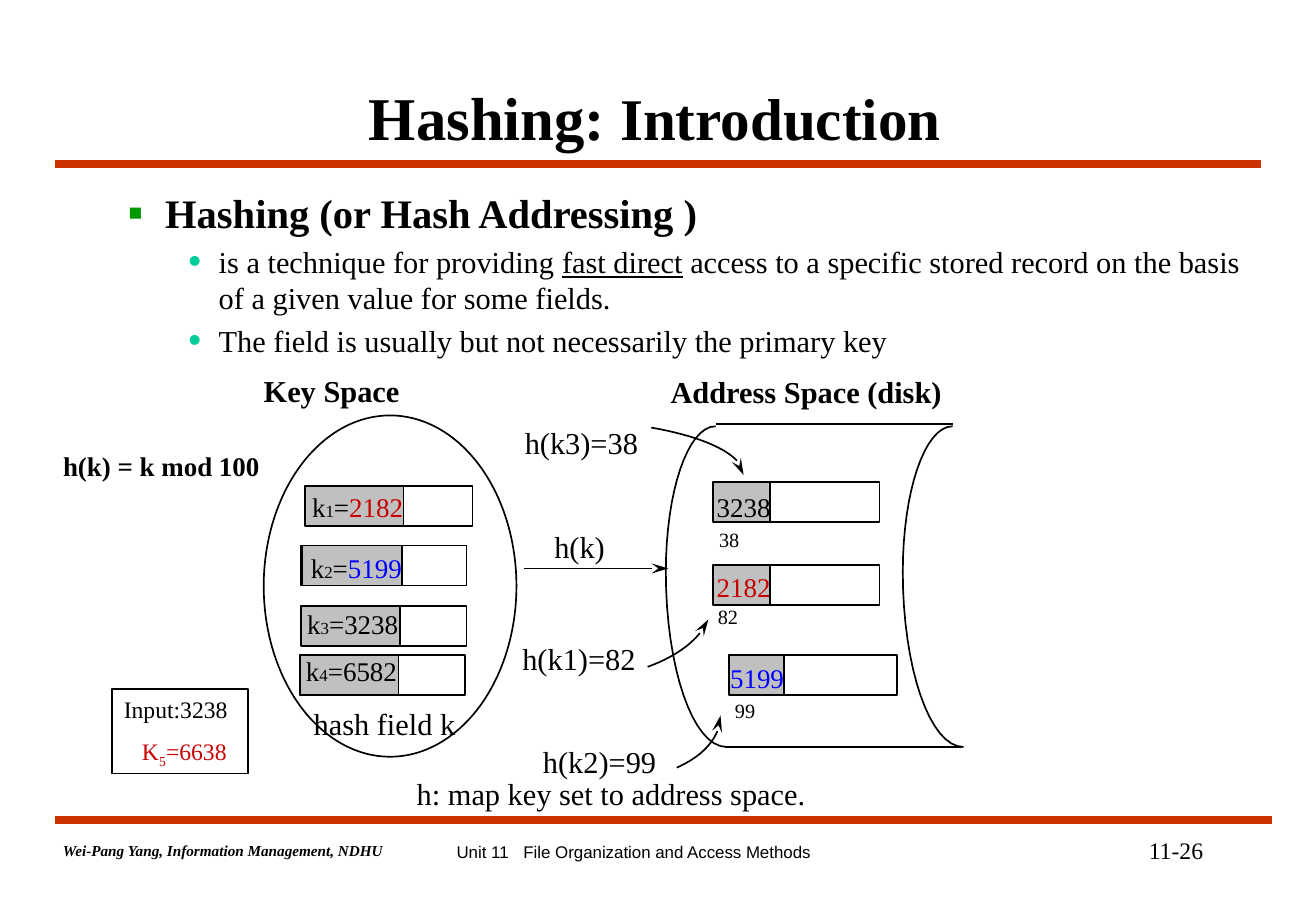
from dataclasses import dataclass

from lxml import etree
from pptx import Presentation
from pptx import util as u
from pptx.dml.color import RGBColor
from pptx.enum import shapes, text
from pptx.oxml.ns import qn


@dataclass(frozen=True)
class Theme:
    serif: str = "Times New Roman"
    sans: str = "Arial"
    black: str = "000000"
    white: str = "FFFFFF"
    grey: str = "C0C0C0"
    rule: str = "CC3300"
    red: str = "C80000"
    blue: str = "0000FF"
    square: str = "009900"
    dot: str = "00CC99"
    title: float = 36
    subtitle: float = 35
    heading: float = 24
    body: float = 18
    record: float = 16
    input: float = 14
    address: float = 12
    index: float = 10
    footer: float = 9


THEME = Theme()
PX = 9144
SLIDE_SIZE = (1083, 750)
RECORD_WIDTH, RECORD_HEIGHT = 136, 33
LEFT, CENTER, RIGHT = text.PP_ALIGN.LEFT, text.PP_ALIGN.CENTER, text.PP_ALIGN.RIGHT

RED, BLUE = {"color": THEME.red}, {"color": THEME.blue}
BOLD = {"bold": True}
TITLE = [("Hashing:", {"size": THEME.title, **BOLD}),
         (" Introduction", {"size": THEME.subtitle, **BOLD})]
BODY = [
    (0, 81, -31, 0, ("▪", THEME.square, 110),
     [("Hashing (or Hash Addressing )", {"size": THEME.heading, **BOLD})]),
    (1, 125, -25, 3.6, ("•", THEME.dot, 120),
     [("is a technique for providing ", {}), ("fast direct", {"underline": True}),
      (" access to a specific stored record on the basis of a given value for some fields.", {})]),
    (1, 125, -25, 3.6, ("•", THEME.dot, 120),
     [("The field is usually but not necessarily the primary key", {})]),
    (2, 162, 0, 3.6, None, [("Key Space", BOLD)]),
]

RULES = [(45, 135, 1038, 135), (45, 675, 1047, 675)]
UNIT = [(366, 70, "Unit 11"), (421, 300, "File Organization and Access Methods")]
KEY_RECORDS = [
    (253, 251, 400, 81, 247, 399, "1", "2182", RED),
    (248, 249, 449, 82, 246, 449, "2", "5199", BLUE),
    (248, 248, 499, 81, 243, 495, "3", "3238", {}),
    (247, 247, 539, 81, 242, 534, "4", "6582", {}),
]
ADDRESS_RECORDS = [
    (588, 587, 397, 47, 580, 399, "3238", {}, 582, 429, "38"),
    (588, 587, 465, 47, 580, 465, "2182", RED, 581, 493, "82"),
    (602, 600, 539, 45, 591, 540, "5199", BLUE, 595, 570, "99"),
]
CENTERED_LABELS = [
    (248, 576, 137, "hash field k"),
    (422, 344, 113, "h(k3)=38"),
    (439, 430, 76, "h(k)"),
    (420, 522, 113, "h(k1)=82"),
    (437, 607, 113, "h(k2)=99"),
    (333, 633, 340, "h: map key set to address space."),
]
HASH_CURVES = [
    [(533, 549), (558, 540), (576, 526), (583, 510)],
    [(536, 352), (582, 360), (612, 375), (612, 391)],
    [(557, 632), (580, 622), (593, 606), (593, 589)],
]
DISK_SIDE = [(589, 351), (566, 351), (548, 405), (548, 471),
             (548, 549), (570, 615), (598, 615)]
DISK_WIDTH = 195
DISK_EDGES = [(589, 349), (597, 615)]
INPUT_LINES = [
    (0, 0, [("Input:3238", {"size": THEME.input})]),
    (15, 8, [("K", {"size": THEME.input, **RED}),
             ("5", {"size": THEME.input, "baseline": -25000, **RED}),
             ("=6638", {"size": THEME.input, **RED})]),
]


def px(*values):
    return [u.Emu(value * PX) for value in values]


def rgb(value):
    return RGBColor.from_string(value)


def add_runs(paragraph, runs):
    for words, style in runs:
        run = paragraph.add_run()
        run.text = words
        font = run.font
        font.name = style.get("font", THEME.serif)
        font.size = u.Pt(style.get("size", THEME.body))
        font.bold = style.get("bold", False)
        font.italic = style.get("italic", False)
        font.underline = style.get("underline", False)
        font.color.rgb = rgb(style.get("color", THEME.black))
        if "baseline" in style:
            font._element.set("baseline", str(style["baseline"]))


def set_indent(paragraph, margin, indent=0):
    properties = paragraph._p.get_or_add_pPr()
    properties.set("marL", str(margin * PX))
    properties.set("indent", str(indent * PX))
    return properties


def add_bullet(properties, bullet):
    if bullet is None:
        etree.SubElement(properties, qn("a:buNone"))
        return
    symbol, color, percent = bullet
    holder = etree.SubElement(properties, qn("a:buClr"))
    etree.SubElement(holder, qn("a:srgbClr"), val=color)
    etree.SubElement(properties, qn("a:buSzPct"), val=str(percent * 1000))
    etree.SubElement(properties, qn("a:buFont"), typeface=THEME.sans)
    etree.SubElement(properties, qn("a:buChar"), char=symbol)


def add_label(slide, left, top, width, height, runs, align=LEFT):
    frame = slide.shapes.add_textbox(*px(left, top, width, height)).text_frame
    frame.word_wrap = align != CENTER
    paragraph = frame.paragraphs[0]
    paragraph.alignment = align
    add_runs(paragraph, runs)


def style_line(shape, color=THEME.black, width=1, arrow=False):
    shape.line.color.rgb = rgb(color)
    shape.line.width = u.Pt(width)
    if arrow:
        etree.SubElement(shape.line._get_or_add_ln(), qn("a:tailEnd"),
                         type="stealth", len="lg")


def add_box(slide, kind, left, top, width, height, fill=None):
    shape = slide.shapes.add_shape(kind, *px(left, top, width, height))
    shape.shadow.inherit = False
    if fill:
        shape.fill.solid()
        shape.fill.fore_color.rgb = rgb(fill)
    else:
        shape.fill.background()
    style_line(shape)
    return shape


def add_line(slide, ends, **style):
    connector = slide.shapes.add_connector(shapes.MSO_CONNECTOR.STRAIGHT, *px(*ends))
    style_line(connector, **style)
    etree.SubElement(connector._element.spPr, qn("a:effectLst"))


def bezier(points, steps=16):
    for step in range(1, steps + 1):
        t = step / steps
        weights = ((1 - t) ** 3, 3 * t * (1 - t) ** 2, 3 * t * t * (1 - t), t ** 3)
        yield tuple(round(PX * sum(w * point[axis] for w, point in zip(weights, points)))
                    for axis in (0, 1))


def add_curve(slide, points, arrow=False):
    builder = slide.shapes.build_freeform(*px(*points[0]))
    for first in range(0, len(points) - 1, 3):
        builder.add_line_segments(list(bezier(points[first:first + 4])), close=False)
    shape = builder.convert_to_shape()
    shape.shadow.inherit = False
    shape.fill.background()
    style_line(shape, arrow=arrow)


def place(shape, left, top, width, height):
    shape.left, shape.top, shape.width, shape.height = px(left, top, width, height)
    shape.text_frame.auto_size = text.MSO_AUTO_SIZE.NONE
    return shape.text_frame


def add_record(slide, left, key_left, top, key_width):
    rectangle = shapes.MSO_SHAPE.RECTANGLE
    add_box(slide, rectangle, left, top, RECORD_WIDTH, RECORD_HEIGHT, THEME.white)
    add_box(slide, rectangle, key_left, top, key_width, RECORD_HEIGHT, THEME.grey)


def add_text(slide):
    frame = place(slide.shapes.title, 92, 58, 894, 75)
    frame.vertical_anchor = text.MSO_ANCHOR.MIDDLE
    frame.paragraphs[0].alignment = CENTER
    add_runs(frame.paragraphs[0], TITLE)
    frame = place(slide.placeholders[1], 45, 150, 993, 508)
    for number, (level, margin, indent, before, bullet, runs) in enumerate(BODY):
        paragraph = frame.add_paragraph() if number else frame.paragraphs[0]
        paragraph.level = level
        add_bullet(set_indent(paragraph, margin, indent), bullet)
        if bullet is None:
            paragraph.line_spacing = 1.2
        paragraph.space_before = u.Pt(before)
        add_runs(paragraph, runs)


def add_footer(slide):
    for ends in RULES:
        add_line(slide, ends, color=THEME.rule, width=4.5)
    add_label(slide, 783, 683, 217, 67, [("11-26", {"size": THEME.input})], RIGHT)
    add_label(slide, 42, 688, 323, 25, [("Wei-Pang Yang, Information Management, NDHU",
              {"size": THEME.footer, "italic": True, **BOLD})])
    for left, width, words in UNIT:
        add_label(slide, left, 688, width, 30,
                  [(words, {"size": THEME.index, "font": THEME.sans})])


def add_diagram(slide):
    add_label(slide, 542, 302, 260, 40, [("Address Space (disk)", BOLD)])
    add_box(slide, shapes.MSO_SHAPE.OVAL, 217, 342, 208, 281, THEME.white)
    add_line(slide, (431, 468, 550, 468), arrow=True)
    for points in HASH_CURVES:
        add_curve(slide, points, arrow=True)
    for shift in (0, DISK_WIDTH):
        add_curve(slide, [(x + shift, y) for x, y in DISK_SIDE])
    for x, y in DISK_EDGES:
        add_line(slide, (x, y, x + DISK_WIDTH, y))
    size = {"size": THEME.record}
    for *record, left, top, index, key, color in KEY_RECORDS:
        add_record(slide, *record)
        add_label(slide, left, top, 110, 37, [("k", size), (index, {"size": THEME.index}),
                                              ("=", size), (key, {**size, **color})])
    for *record, left, top, key, color, slot_left, slot_top, slot in ADDRESS_RECORDS:
        add_record(slide, *record)
        add_label(slide, left, top, 75, 37, [(key, {**size, **color})])
        add_label(slide, slot_left, slot_top, 47, 30, [(slot, {"size": THEME.address})])
    for left, top, width, words in CENTERED_LABELS:
        add_label(slide, left, top, width, 40, [(words, {})], CENTER)
    add_label(slide, 42, 365, 192, 37, [("h(k) = k mod 100", {**size, **BOLD})])
    frame = add_box(slide, shapes.MSO_SHAPE.RECTANGLE, 92, 567, 112, 70).text_frame
    frame.vertical_anchor = text.MSO_ANCHOR.TOP
    for number, (margin, before, runs) in enumerate(INPUT_LINES):
        paragraph = frame.add_paragraph() if number else frame.paragraphs[0]
        paragraph.alignment = LEFT
        set_indent(paragraph, margin)
        paragraph.space_before = u.Pt(before)
        add_runs(paragraph, runs)


def main():
    presentation = Presentation()
    presentation.slide_width, presentation.slide_height = px(*SLIDE_SIZE)
    slide = presentation.slides.add_slide(presentation.slide_layouts[1])
    add_footer(slide)
    add_text(slide)
    add_diagram(slide)
    presentation.save("out.pptx")


if __name__ == "__main__":
    main()
